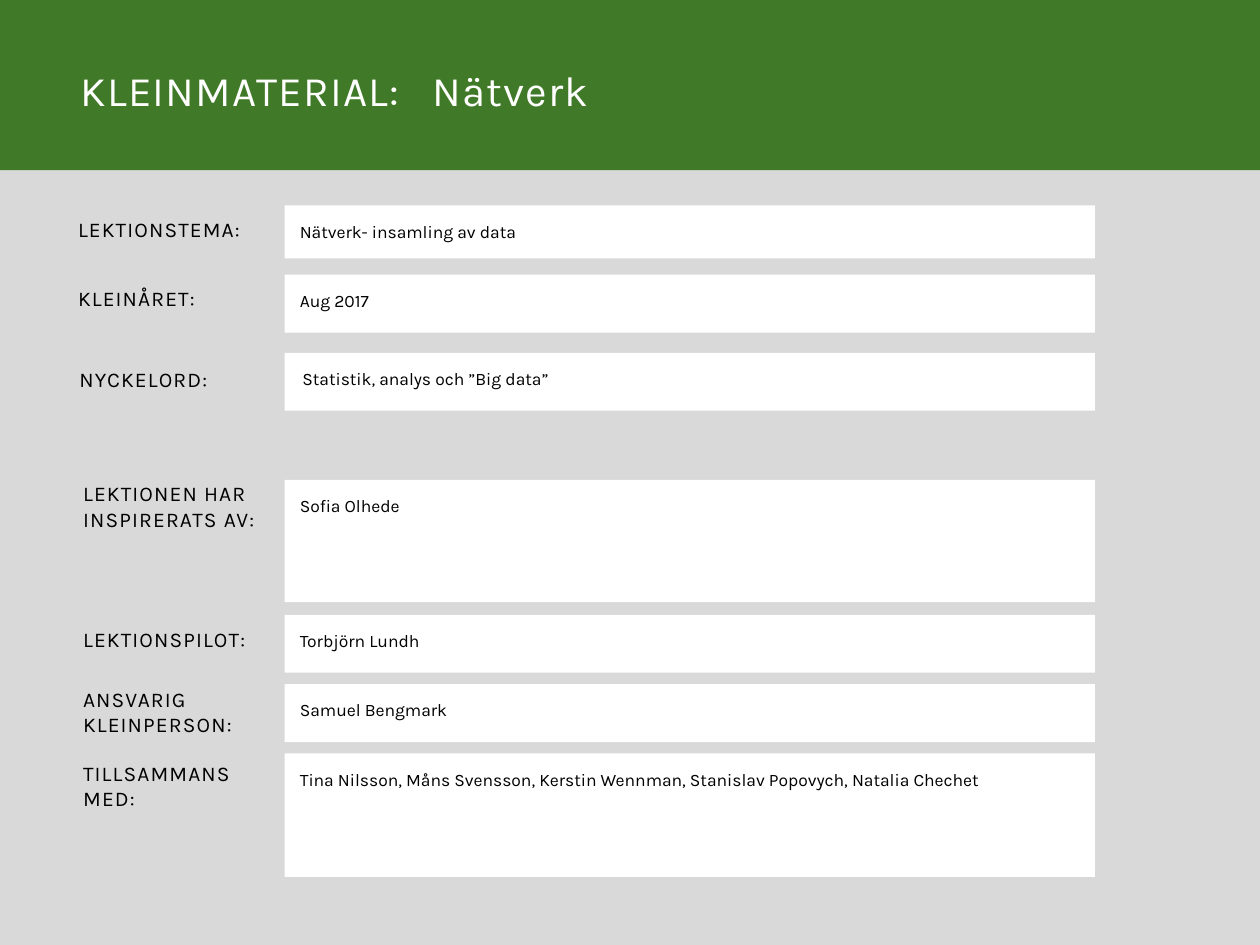
from dataclasses import dataclass

from pptx import Presentation
from pptx.dml.color import RGBColor
from pptx.enum.shapes import MSO_SHAPE as Shape
from pptx.enum.text import MSO_ANCHOR as Anchor, PP_ALIGN as Align
from pptx.util import Inches, Pt


@dataclass(frozen=True)
class Theme:
    """Colours, font and type sizes of the slide."""
    green: str = "407927"
    grey: str = "D9D9D9"
    white: str = "FFFFFF"
    black: str = "000000"
    font: str = "Karla"
    title_size: float = 24
    label_size: float = 12
    answer_size: float = 10


THEME = Theme()
ANSWER_LEFT, ANSWER_WIDTH = 2.26, 6.43

# label lines, label left, label top, label width, answer, top, height, indent
FIELDS = [
    (["LEKTIONSTEMA:"], 0.61, 1.72, 1.49,
     "Nätverk- insamling av data", 1.63, 0.42, 0.12),
    (["KLEINÅRET:"], 0.61, 2.27, 1.04, "Aug 2017", 2.18, 0.46, 0.12),
    (["NYCKELORD:"], 0.62, 2.91, 1.13,
     "Statistik, analys och ”Big data”", 2.8, 0.46, 0.14),
    (["LEKTIONEN HAR", "INSPIRERATS AV:"], 0.65, 3.82, 1.51,
     "Sofia Olhede", 3.81, 0.97, 0.12),
    (["LEKTIONSPILOT:"], 0.65, 4.98, 1.45, "Torbjörn Lundh", 4.88, 0.46, 0.12),
    (["ANSVARIG", "KLEINPERSON:"], 0.65, 5.45, 1.3,
     "Samuel Bengmark", 5.43, 0.46, 0.12),
    (["TILLSAMMANS", "MED:"], 0.65, 6.04, 1.25,
     "Tina Nilsson, Måns Svensson, Kerstin Wennman, Stanislav Popovych, "
     "Natalia Chechet", 5.98, 0.98, 0.12),
]


def add_panel(slide, left, top, width, height, color):
    """Add a plain filled rectangle."""
    shape = slide.shapes.add_shape(Shape.RECTANGLE, Inches(left), Inches(top),
                                   Inches(width), Inches(height))
    shape.shadow.inherit = False
    shape.fill.solid()
    shape.fill.fore_color.rgb = RGBColor.from_string(color)
    shape.line.fill.background()
    return shape


def write_text(shape, lines, size, color, inset, spacing=0, pitches=None):
    """Fill a shape with left-aligned lines; inset is (left, top)."""
    frame = shape.text_frame
    frame.word_wrap = True
    frame.vertical_anchor = Anchor.TOP
    frame.margin_left, frame.margin_top = map(Inches, inset)
    frame.margin_right = frame.margin_bottom = 0
    frame.text = "\n".join(lines)
    for index, paragraph in enumerate(frame.paragraphs):
        paragraph.alignment = Align.LEFT
        if pitches:
            paragraph.line_spacing = Pt(pitches[index])
        for run in paragraph.runs:
            run.font.name = THEME.font
            run.font.size = Pt(size)
            run.font.color.rgb = RGBColor.from_string(color)
            if spacing:
                run._r.get_or_add_rPr().set("spc", str(round(spacing * 100)))


def add_text(slide, left, top, width, height, *text, **options):
    """Add a text box and write its lines."""
    box = slide.shapes.add_textbox(Inches(left), Inches(top),
                                   Inches(width), Inches(height))
    write_text(box, *text, **options)


def add_header(slide, left, top, width, height):
    """Add the green band with the heading and the topic."""
    add_panel(slide, left, top, width, height, THEME.green)
    for text, offset, text_width in (("KLEINMATERIAL:", 0.63, 2.77),
                                     ("Nätverk", 3.42, 1.29)):
        add_text(slide, left + offset, top + 0.53, text_width, 0.36, [text],
                 THEME.title_size, THEME.white, (0.01, 0.02),
                 spacing=0.7, pitches=[25.9])


def add_field(slide, lines, left, label_top, width, answer, top, height, indent):
    """Add one label with its white answer box."""
    add_text(slide, left, label_top, width, 0.19 * len(lines), lines,
             THEME.label_size, THEME.black, (0.01, 0.01),
             spacing=0.65, pitches=[13.4, 14.4])
    panel = add_panel(slide, ANSWER_LEFT, top, ANSWER_WIDTH, height, THEME.white)
    write_text(panel, [answer], THEME.answer_size, THEME.black, (indent, 0.12))


def build():
    """Build and save the presentation."""
    presentation = Presentation()
    presentation.slide_width = Inches(10)
    presentation.slide_height = Inches(7.5)
    slide = presentation.slides.add_slide(presentation.slide_layouts[6])
    add_panel(slide, 0, 1.35, 10, 6.15, THEME.grey)
    add_header(slide, 0, 0, 10, 1.35)
    for field in FIELDS:
        add_field(slide, *field)
    presentation.save("out.pptx")


build()
